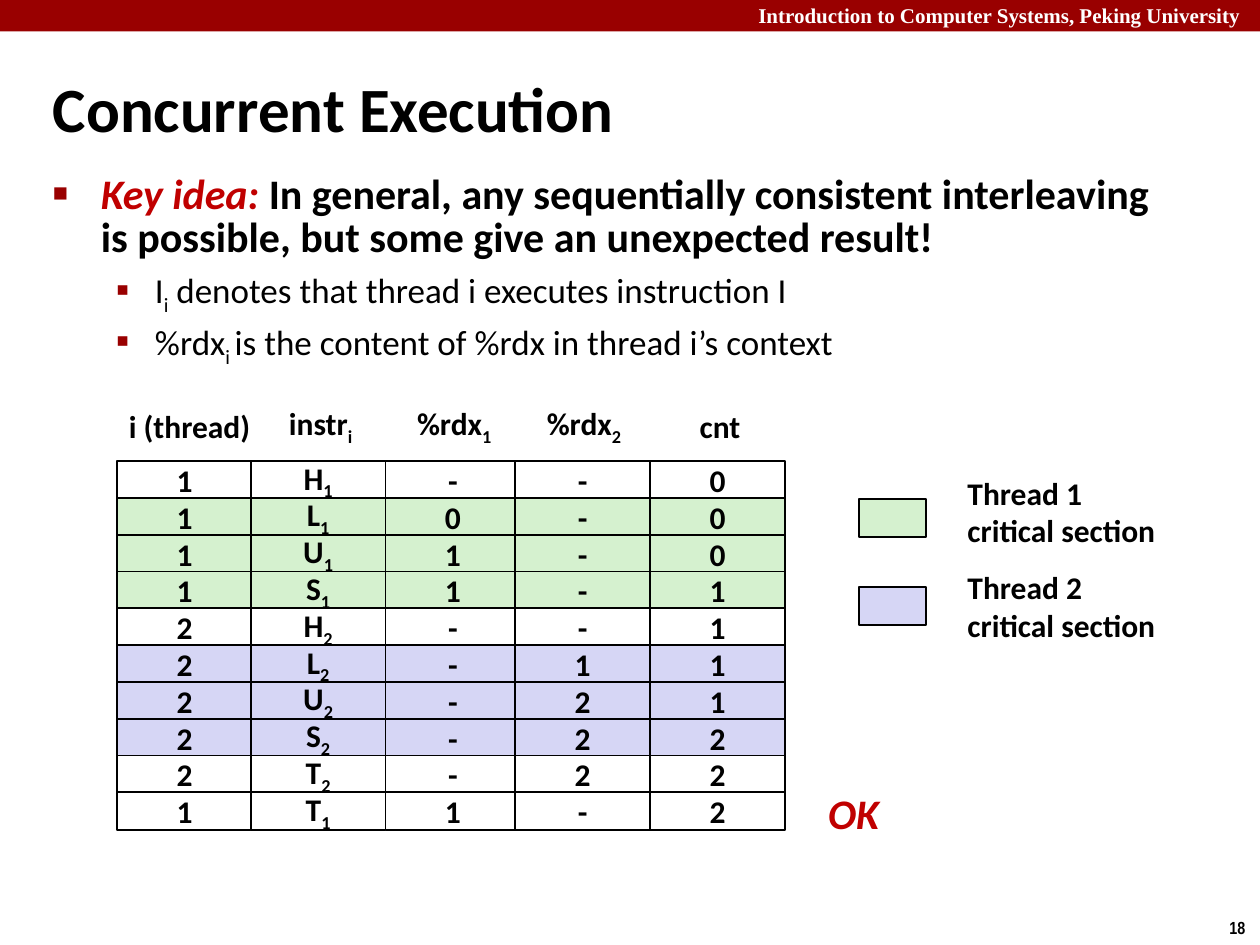
from lxml import etree
from pptx import Presentation
from pptx.dml.color import RGBColor
from pptx.enum.shapes import MSO_SHAPE
from pptx.enum.text import MSO_ANCHOR, MSO_AUTO_SIZE, PP_ALIGN
from pptx.oxml.ns import qn
from pptx.util import Inches, Pt

RECT = MSO_SHAPE.RECTANGLE
MIDDLE, TOP = MSO_ANCHOR.MIDDLE, MSO_ANCHOR.TOP
LEFT, CENTER = PP_ALIGN.LEFT, PP_ALIGN.CENTER

BLACK = RGBColor(0x00, 0x00, 0x00)
WHITE = RGBColor(0xFF, 0xFF, 0xFF)
CRIMSON = RGBColor(0x99, 0x00, 0x00)
RED = RGBColor(0xC0, 0x00, 0x00)
GREEN = RGBColor(0xD5, 0xF1, 0xCF)
LILAC = RGBColor(0xD6, 0xD6, 0xF5)

# Text between ~ marks is set as subscript.
TITLE = "Concurrent Execution"
KEY_LABEL = "Key idea: "
KEY_IDEA = ("In general, any sequentially consistent interleaving is possible, "
            "but some give an unexpected result!")
NOTES = [
    "I~i~ denotes that thread i executes instruction I",
    "%rdx~i ~is the content of %rdx in thread i’s context",
]
COLUMNS = [  # left, heading, heading left, heading width
    (0.93, "i (thread)", 0.92, 1.17),
    (1.99, "instr~i~", 2.19, 0.71),
    (3.06, "%rdx~1~", 3.2, 0.81),
    (4.09, "%rdx~2~", 4.23, 0.81),
    (5.16, "cnt", 5.45, 0.53),
]
STEPS = [
    (WHITE, "1", "H~1~", "-", "-", "0"),
    (GREEN, "1", "L~1~", "0", "-", "0"),
    (GREEN, "1", "U~1~", "1", "-", "0"),
    (GREEN, "1", "S~1~", "1", "-", "1"),
    (WHITE, "2", "H~2~", "-", "-", "1"),
    (LILAC, "2", "L~2~", "-", "1", "1"),
    (LILAC, "2", "U~2~", "-", "2", "1"),
    (LILAC, "2", "S~2~", "-", "2", "2"),
    (WHITE, "2", "T~2~", "-", "2", "2"),
    (WHITE, "1", "T~1~", "1", "-", "2"),
]
LEGEND = [  # colour, label, swatch top, label top
    (GREEN, "Thread 1 critical section", 3.96, 3.71),
    (LILAC, "Thread 2 critical section", 4.66, 4.46),
]
GRID_TOP, ROW_PITCH = 3.66, 0.292
CELL_W, CELL_H = 1.07, 0.3


def add_runs(p, text, size=18, color=BLACK, bold=True, italic=False, font="Calibri"):
    for i, part in enumerate(text.split("~")):
        if not part:
            continue
        r = p.add_run()
        r.text = part
        r.font.size, r.font.name = Pt(size), font
        r.font.bold, r.font.italic = bold, italic
        r.font.color.rgb = color
        if i % 2:
            r._r.get_or_add_rPr().set("baseline", "-25000")


def add_box(slide, x, y, w, h, fill, line=BLACK):
    sp = slide.shapes.add_shape(RECT, Inches(x), Inches(y), Inches(w), Inches(h))
    sp.shadow.inherit = False
    sp.fill.solid()
    sp.fill.fore_color.rgb = fill
    if line is None:
        sp.line.fill.background()
    else:
        sp.line.color.rgb = line
        sp.line.width = Pt(1)
    return sp


def add_label(slide, x, y, w, h, text, wrap=False, anchor=MIDDLE, align=CENTER, **style):
    tf = slide.shapes.add_textbox(Inches(x), Inches(y), Inches(w), Inches(h)).text_frame
    tf.word_wrap = wrap
    tf.auto_size = MSO_AUTO_SIZE.SHAPE_TO_FIT_TEXT
    tf.vertical_anchor = anchor
    tf.paragraphs[0].alignment = align
    add_runs(tf.paragraphs[0], text, **style)


def set_indent(p, margin, indent):
    pPr = p._p.get_or_add_pPr()
    pPr.set("marL", str(Inches(margin)))
    pPr.set("indent", str(Inches(indent)))
    return pPr


def set_bullet(p, char, percent, margin, indent):
    pPr = set_indent(p, margin, indent)
    color = etree.SubElement(pPr, qn("a:buClr"))
    etree.SubElement(color, qn("a:srgbClr"), val=str(CRIMSON))
    etree.SubElement(pPr, qn("a:buSzPct"), val=str(percent * 1000))
    etree.SubElement(pPr, qn("a:buChar"), char=char)


def place(ph, x, y, w, h, anchor):
    ph.left, ph.top, ph.width, ph.height = Inches(x), Inches(y), Inches(w), Inches(h)
    tf = ph.text_frame
    tf.word_wrap = True
    tf.auto_size = MSO_AUTO_SIZE.NONE
    tf.vertical_anchor = anchor
    return tf


def add_header(slide):
    add_box(slide, 0, 0, 10, 0.25, CRIMSON, line=None)
    add_label(slide, 5.92, -0.03, 4.15, 0.3,
              "Introduction to Computer Systems, Peking University", wrap=True,
              anchor=TOP, align=LEFT, size=12, color=WHITE, font="Times New Roman")
    add_label(slide, 9.66, 7.23, 0.34, 0.27, "18", anchor=TOP, align=LEFT,
              size=10, font="Arial Narrow")


def fill_placeholders(slide):
    p = place(slide.shapes.title, 0.32, 0.54, 7.24, 0.63, MIDDLE).paragraphs[0]
    p.alignment = LEFT
    set_indent(p, 0.13, -0.13)
    add_runs(p, TITLE, size=36)

    tf = place(slide.placeholders[1], 0.32, 1.34, 9.09, 1.59, TOP)
    p = tf.paragraphs[0]
    set_bullet(p, "■", 60, 0.38, -0.38)
    p.line_spacing, p.space_before = 0.85, Pt(0)
    add_runs(p, KEY_LABEL, size=24, color=RED, italic=True)
    add_runs(p, KEY_IDEA, size=24)
    for note in NOTES:
        p = tf.add_paragraph()
        p.level = 1
        set_bullet(p, "▪", 110, 0.81, -0.31)
        p.line_spacing, p.space_before = 0.9, Pt(5)
        add_runs(p, note, size=20, bold=False)


def add_trace(slide):
    for col, (x, heading, head_x, head_w) in enumerate(COLUMNS):
        add_label(slide, head_x, 3.18, head_w, 0.4, heading)
        for row, (fill, *values) in enumerate(STEPS):
            sp = add_box(slide, x, GRID_TOP + row * ROW_PITCH, CELL_W, CELL_H, fill)
            tf = sp.text_frame
            tf.vertical_anchor = MIDDLE
            tf.paragraphs[0].alignment = CENTER
            add_runs(tf.paragraphs[0], values[col])
    add_label(slide, 6.47, 6.2, 0.61, 0.5, "OK", size=24, color=RED, italic=True)


def add_legend(slide):
    for fill, text, swatch_y, label_y in LEGEND:
        add_box(slide, 6.82, swatch_y, 0.53, CELL_H, fill)
        add_label(slide, 7.58, label_y, 1.75, 0.71, text, wrap=True, anchor=TOP, align=LEFT)


def main():
    prs = Presentation()
    prs.slide_width, prs.slide_height = Inches(10), Inches(7.5)
    slide = prs.slides.add_slide(prs.slide_layouts[1])
    add_header(slide)
    fill_placeholders(slide)
    add_trace(slide)
    add_legend(slide)
    prs.save("out.pptx")


if __name__ == "__main__":
    main()
